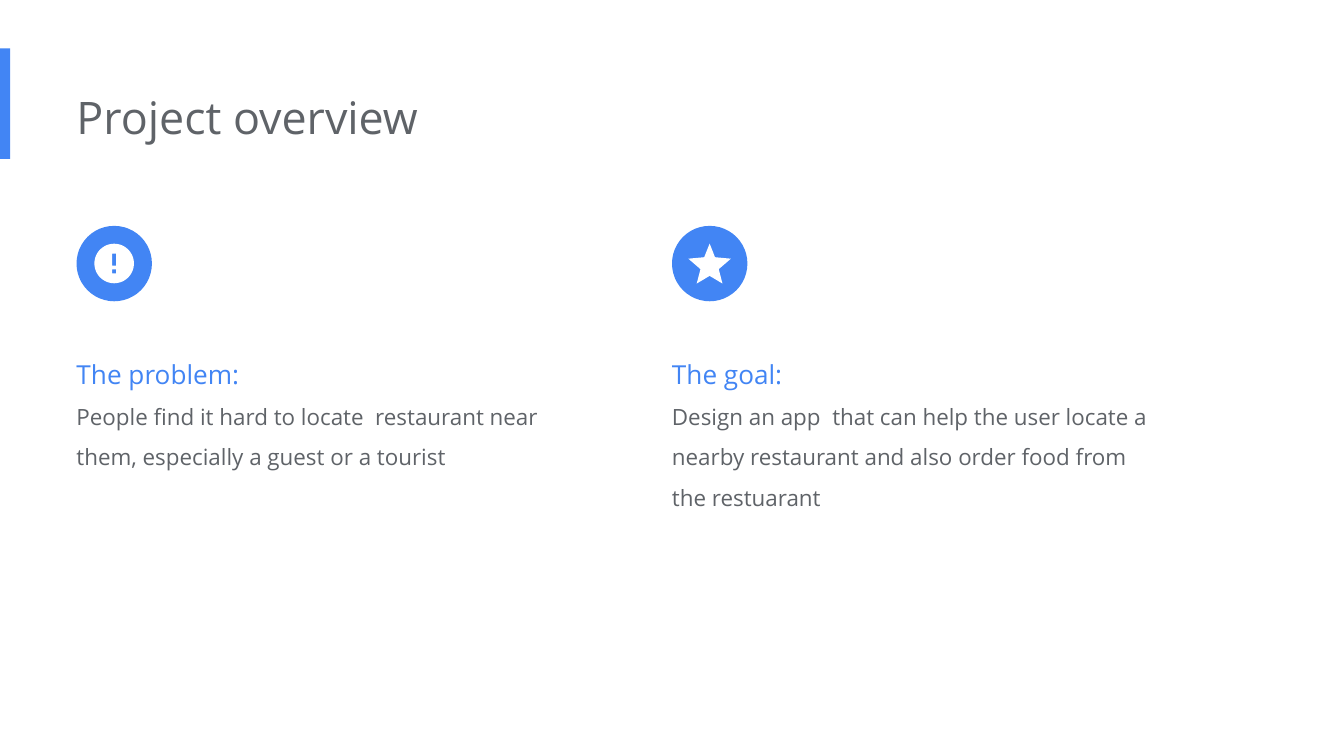
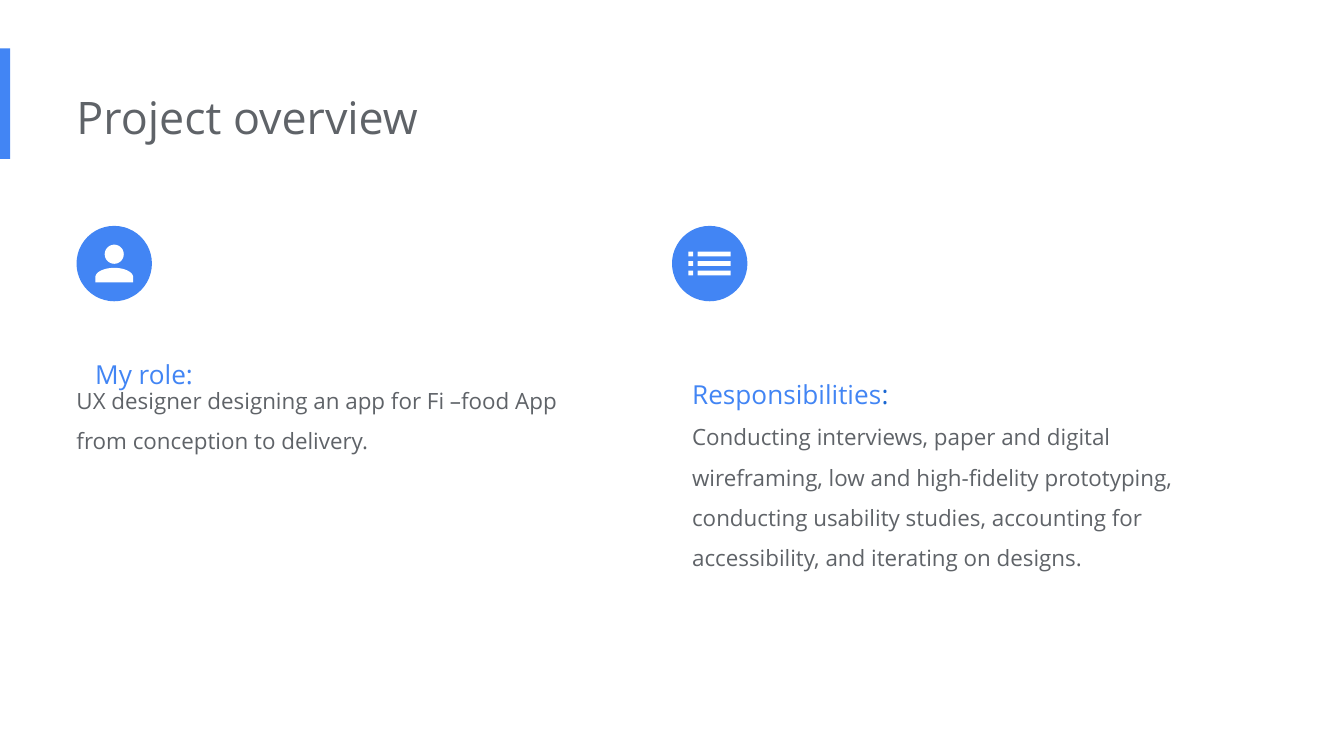
from math import cos, pi, sin

from pptx import Presentation
from pptx.dml.color import RGBColor as RGB
from pptx.enum.shapes import MSO_SHAPE as SHAPE
from pptx.enum.text import MSO_AUTO_SIZE as FIT
from pptx.util import Pt

COLORS = {"blue": "4285F4", "deep": "1967D2", "grey": "5F6368", "white": "FFFFFF"}
FONT = "Open Sans"
LEFT, RIGHT = 41, 360
TEXT_TOP, TEXT_W = 176.4, 271.4
DISC_TOP, DISC = 121, 40.4


def paint(sp, color):
    sp.shadow.inherit = False
    sp.fill.solid()
    sp.fill.fore_color.rgb = RGB.from_string(COLORS[color])
    sp.line.fill.background()


def add_text(s, x, y, w, h, paragraphs, spacing=1.5, inset=7.2):
    """Add a text box; each paragraph is a list of (text, size, color) runs."""
    sp = s.shapes.add_textbox(Pt(x), Pt(y), Pt(w), Pt(h))
    tf = sp.text_frame
    tf.word_wrap = True
    tf.auto_size = FIT.SHAPE_TO_FIT_TEXT
    tf.margin_left, tf.margin_top = 0, Pt(inset)
    for i, runs in enumerate(paragraphs):
        p = tf.add_paragraph() if i else tf.paragraphs[0]
        p.line_spacing = spacing
        for text, size, color in runs:
            r = p.add_run()
            r.text = text
            r.font.name, r.font.size = FONT, Pt(size)
            r.font.color.rgb = RGB.from_string(COLORS[color])


# Icon outlines, in points from the centre of their disc
circle = [(cos(a * pi / 30), sin(a * pi / 30)) for a in range(60)]
arch = [(cos(a * pi / 30), -sin(a * pi / 30)) for a in range(31)]
star_half = [(0, -10.7), (2.9, -3.4), (11.4, -2.6), (4.9, 3), (6.9, 10.7), (0, 6.6)]
boxes = {
    "alert": [(-1.1, -5.3, 1.1, 1.1), (-1.1, 3.2, 1.1, 5.3)],
    "list": [(x1, y - 1.3, x2, y + 1.3) for y in (-5.1, 0, 5.1)
             for x1, x2 in ((-11.4, -8.8), (-6.4, 11.3))],
}
bars = {name: [[(x1, y1), (x2, y1), (x2, y2), (x1, y2)] for x1, y1, x2, y2 in rects]
        for name, rects in boxes.items()}
icons = {
    "alert": [[(10.6 * x, 10.6 * y) for x, y in circle]] + bars["alert"],
    "star": [star_half + [(-x, y) for x, y in star_half[-2:0:-1]]],
    "person": [[(5.1 * x, 5.1 * y - 5) for x, y in circle],
               [(10.1 * x, 5 * y + 7.3) for x, y in arch] + [(-10.1, 10.1), (10.1, 10.1)]],
    "list": bars["list"],
}

# Each slide: its two icons, then its text boxes (left, top, height, top inset, paragraphs)
slides = [
    (("alert", "star"), [
        (LEFT, TEXT_TOP, 83.5, 7.2, [
            [("The problem:", 14, "blue")],
            [("People find it hard to locate  restaurant near them, "
              "especially a guest or a tourist", 12, "grey")]]),
        (RIGHT, TEXT_TOP, 105, 7.2, [
            [("The goal:", 14, "blue")],
            [("Design an app  that can help the user locate a nearby restaurant "
              "and also order food from the restuarant", 12, "grey")]]),
    ]),
    (("person", "list"), [
        (LEFT + 10, TEXT_TOP, 62, 7.2, [[("My role:", 14, "blue")]]),
        (LEFT, TEXT_TOP, 83.5, 23.75, [
            [("UX designer designing an app for Fi –food App "
              "from conception to delivery.", 12, "grey")]]),
        (RIGHT + 10.8, TEXT_TOP + 10.8, 120, 7.2, [
            [("Responsibilities", 14, "blue"), (":", 14, "deep")],
            [("Conducting interviews, paper and digital wireframing, low and "
              "high-fidelity prototyping, conducting usability studies, accounting "
              "for accessibility, and iterating on designs.", 12, "grey")]]),
    ]),
]

prs = Presentation()
prs.slide_width, prs.slide_height = Pt(720), Pt(405)

for icon_names, texts in slides:
    s = prs.slides.add_slide(prs.slide_layouts[6])
    accent = s.shapes.add_shape(SHAPE.RECTANGLE, 0, Pt(26), Pt(5.5), Pt(59.2))
    paint(accent, "blue")
    add_text(s, LEFT, 41, 484.6, 44, [[("Project overview", 24, "grey")]], spacing=1.0)

    for x, name in zip((LEFT, RIGHT), icon_names):
        disc = s.shapes.add_shape(SHAPE.OVAL, Pt(x), Pt(DISC_TOP), Pt(DISC), Pt(DISC))
        paint(disc, "blue")
        cx, cy = x + DISC / 2, DISC_TOP + DISC / 2
        contours = [[(Pt(cx + dx), Pt(cy + dy)) for dx, dy in c] for c in icons[name]]
        fb = s.shapes.build_freeform(*contours[0][0])
        fb.add_line_segments(contours[0][1:])
        for contour in contours[1:]:
            fb.move_to(*contour[0])
            fb.add_line_segments(contour[1:])
        paint(fb.convert_to_shape(), "white")

    for x, y, h, inset, paragraphs in texts:
        add_text(s, x, y, TEXT_W, h, paragraphs, inset=inset)

prs.save("out.pptx")
